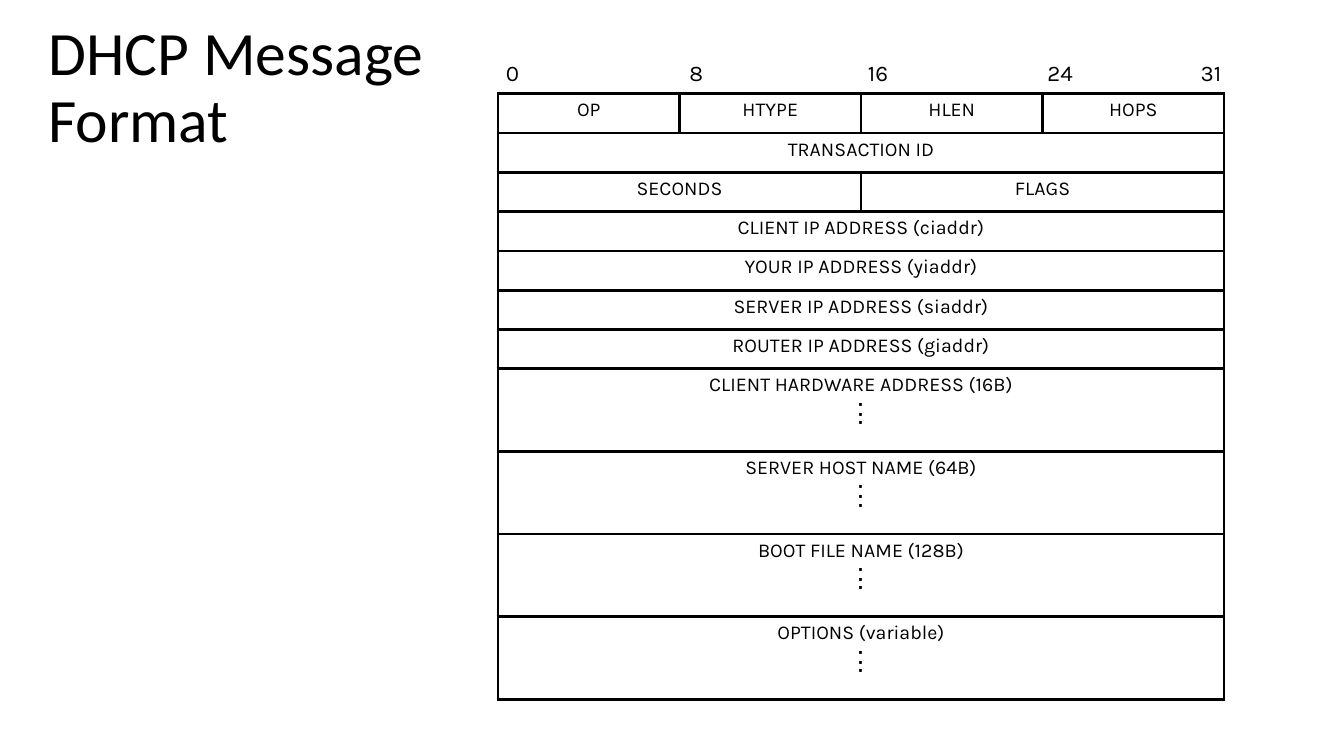
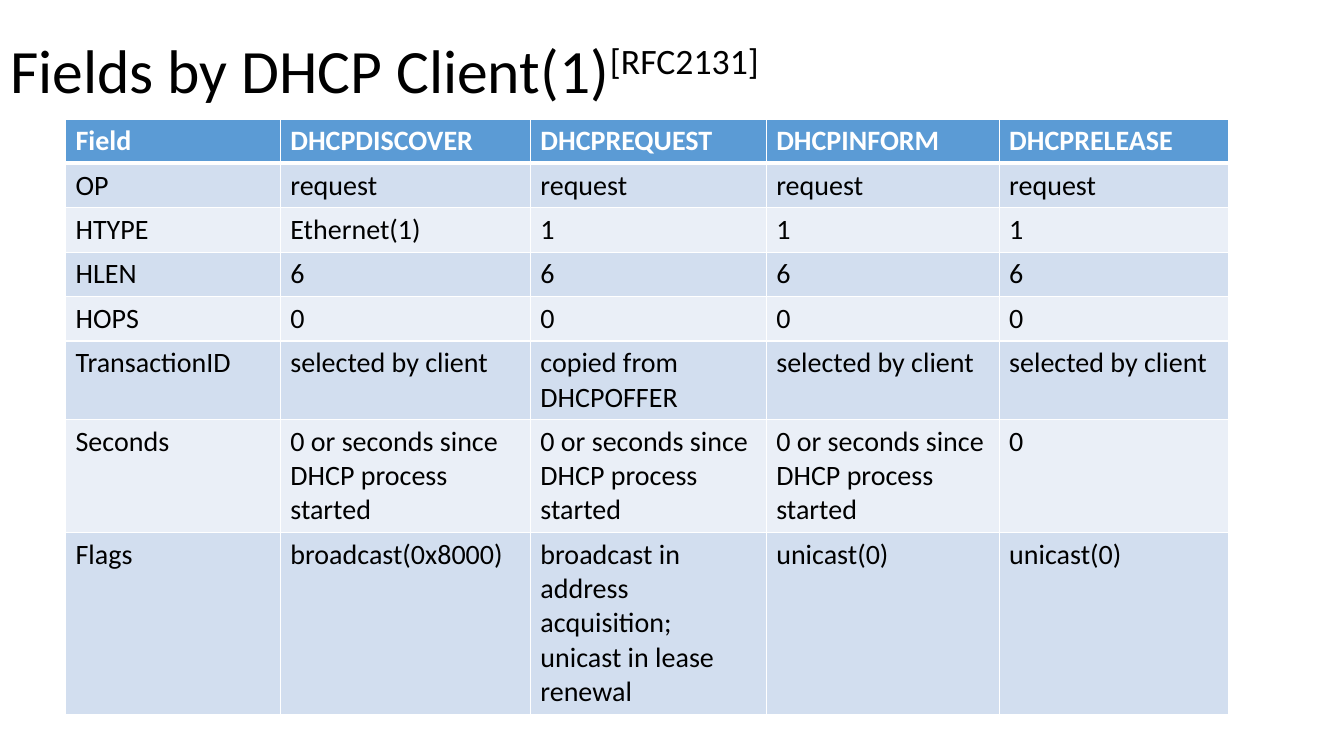
from dataclasses import dataclass

from lxml import etree
from pptx import Presentation
from pptx import util as u
from pptx.dml.color import RGBColor
from pptx.enum import text as t
from pptx.oxml import ns

INK = {
    "black": "000000",
    "white": "FFFFFF",
    "head": "5B9BD5",
    "odd": "D2DEEF",
    "even": "EAEFF7",
}
MAIN, CODE, DOTS = "Calibri", "Karla", "Arial"


@dataclass(frozen=True)
class Box:
    left: float
    top: float
    width: float
    height: float

    def place(self) -> tuple:
        return tuple(u.Inches(n) for n in
                     (self.left, self.top, self.width, self.height))


@dataclass(frozen=True)
class Tick:
    label: str
    left: float
    width: float


@dataclass(frozen=True)
class Field:
    names: tuple
    tall: bool = False


# Shared drawing functions
def style(para, face: str, size: float, ink: str, bold: bool = False) -> None:
    font = para.font
    font.name, font.size, font.bold = face, u.Pt(size), bold
    font.color.rgb = RGBColor.from_string(INK[ink])


def add_page(deck, title: str, box: Box, note: str = ""):
    page = deck.slides.add_slide(deck.slide_layouts[5])
    head = page.shapes.title
    head.left, head.top, head.width, head.height = box.place()
    frame = head.text_frame
    frame.vertical_anchor = t.MSO_ANCHOR.MIDDLE
    frame.text = title
    para = frame.paragraphs[0]
    para.alignment, para.line_spacing = t.PP_ALIGN.LEFT, 0.9
    style(para, MAIN, 44, "black")
    if note:
        run = para.add_run()
        run.text = note
        run.font._element.set("baseline", "30000")
    return page


def add_grid(page, box: Box, cols: tuple, rows: tuple):
    shape = page.shapes.add_table(len(rows), len(cols), *box.place())
    grid = shape.table
    for col, width in zip(grid.columns, cols):
        col.width = u.Inches(width)
    for row, height in zip(grid.rows, rows):
        row.height = u.Inches(height)
    shape.height = u.Inches(box.height)
    return grid


def edge(cell, ink: str, width: float, **other: float) -> None:
    """Line all four sides; other gives widths for single sides."""
    props = cell._tc.get_or_add_tcPr()
    for spot, side in enumerate("LRTB"):
        line = etree.Element(ns.qn(f"a:ln{side}"),
                             w=str(u.Pt(other.get(side, width))))
        fill = etree.SubElement(line, ns.qn("a:solidFill"))
        etree.SubElement(fill, ns.qn("a:srgbClr"), val=INK[ink])
        props.insert(spot, line)


# Message format slide
TICKS = (
    Tick("0", 4.92, 0.3),
    Tick("8", 6.74, 0.3),
    Tick("16", 8.51, 0.54),
    Tick("24", 10.29, 0.59),
    Tick("31", 11.81, 0.59),
)
FIELDS = (
    Field(("OP", "HTYPE", "HLEN", "HOPS")),
    Field(("TRANSACTION ID",)),
    Field(("SECONDS", "FLAGS")),
    Field(("CLIENT IP ADDRESS (ciaddr)",)),
    Field(("YOUR IP ADDRESS (yiaddr)",)),
    Field(("SERVER IP ADDRESS (siaddr)",)),
    Field(("ROUTER IP ADDRESS (giaddr)",)),
    Field(("CLIENT HARDWARE ADDRESS (16B)",), True),
    Field(("SERVER HOST NAME (64B)",), True),
    Field(("BOOT FILE NAME (128B)",), True),
    Field(("OPTIONS (variable)",), True),
)
BYTES = 4


def fill_field(cell, name: str, tall: bool) -> None:
    frame = cell.text_frame
    frame.text = name
    style(frame.paragraphs[0], CODE, 14, "black")
    for space in (0.6, 0.2, 0.2) if tall else ():
        dot = frame.add_paragraph()
        dot.text, dot.line_spacing = "·", space
        style(dot, DOTS, 14, "black", True)
    for para in frame.paragraphs:
        para.alignment, para.space_before = t.PP_ALIGN.CENTER, u.Pt(2.8)


def add_format(deck) -> None:
    page = add_page(deck, "DHCP Message\vFormat", Box(0.38, 0.16, 11.32, 1.45))
    rows = tuple(0.82 if field.tall else 0.39 for field in FIELDS)
    grid = add_grid(page, Box(4.94, 0.93, 7.2, 5.99), (1.8,) * BYTES, rows)
    grid.first_row = grid.horz_banding = False
    for cell in grid.iter_cells():
        cell.fill.background()
        edge(cell, "black", 2.25)
    for row, field in enumerate(FIELDS):
        span = BYTES // len(field.names)
        for part, name in enumerate(field.names):
            cell = grid.cell(row, part * span)
            if span > 1:
                cell.merge(grid.cell(row, (part + 1) * span - 1))
            fill_field(cell, name, field.tall)
    # Bit numbers above the grid
    for tick in TICKS:
        box = Box(tick.left, 0.54, tick.width, 0.37)
        frame = page.shapes.add_textbox(*box.place()).text_frame
        frame.word_wrap = True
        frame.auto_size = t.MSO_AUTO_SIZE.SHAPE_TO_FIT_TEXT
        frame.text = tick.label
        style(frame.paragraphs[0], CODE, 16, "black")


# Client fields slide
CHOSEN = "selected by client"
SINCE = "0 or seconds since DHCP process started"
CLIENT = (
    ("Field", "DHCPDISCOVER", "DHCPREQUEST", "DHCPINFORM", "DHCPRELEASE"),
    ("OP",) + ("request",) * 4,
    ("HTYPE", "Ethernet(1)", "1", "1", "1"),
    ("HLEN",) + ("6",) * 4,
    ("HOPS",) + ("0",) * 4,
    ("TransactionID", CHOSEN, "copied from DHCPOFFER", CHOSEN, CHOSEN),
    ("Seconds", SINCE, SINCE, SINCE, "0"),
    ("Flags", "broadcast(0x8000)",
     "broadcast in address acquisition; unicast in lease renewal",
     "unicast(0)", "unicast(0)"),
)


def add_client(deck) -> None:
    page = add_page(deck, "Fields by DHCP Client(1)",
                    Box(0, 0, 11.5, 1.45), "[RFC2131]")
    grid = add_grid(page, Box(0.65, 1.18, 11.54, 5.8),
                    (2.13, 2.48, 2.34, 2.31, 2.28), (0.41,) * len(CLIENT))
    for row, names in enumerate(CLIENT):
        head = row == 0
        tint = "head" if head else "odd" if row % 2 else "even"
        rule = {0: {"B": 3}, 1: {"T": 3}}.get(row, {})
        for col, name in enumerate(names):
            cell = grid.cell(row, col)
            cell.fill.solid()
            cell.fill.fore_color.rgb = RGBColor.from_string(INK[tint])
            edge(cell, "white", 1, **rule)
            cell.text_frame.text = name
            style(cell.text_frame.paragraphs[0], MAIN, 20,
                  "white" if head else "black", head)


def main() -> None:
    deck = Presentation()
    deck.slide_width, deck.slide_height = u.Inches(13.33), u.Inches(7.5)
    add_format(deck)
    add_client(deck)
    deck.save("out.pptx")


main()
